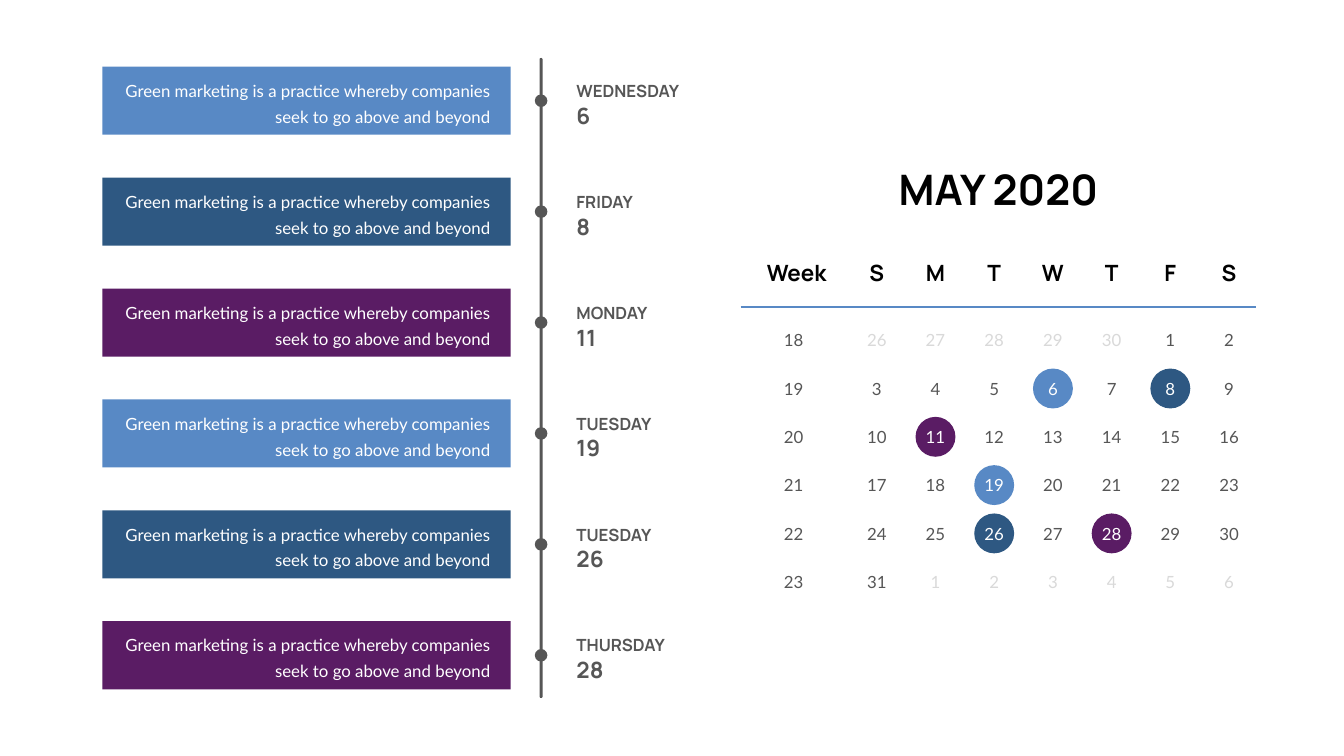
"""Build a May 2020 calendar slide with a timeline of six marked days."""
from pptx import Presentation
from pptx.dml.color import RGBColor
from pptx.enum.shapes import MSO_CONNECTOR, MSO_SHAPE
from pptx.enum.text import MSO_ANCHOR, MSO_AUTO_SIZE, PP_ALIGN
from pptx.oxml.ns import qn
from pptx.util import Pt
from lxml import etree

LEFT, CENTER, RIGHT = PP_ALIGN.LEFT, PP_ALIGN.CENTER, PP_ALIGN.RIGHT
TOP, MIDDLE = MSO_ANCHOR.TOP, MSO_ANCHOR.MIDDLE
RECTANGLE, ROUNDED, OVAL = MSO_SHAPE.RECTANGLE, MSO_SHAPE.ROUNDED_RECTANGLE, MSO_SHAPE.OVAL

BLUE = RGBColor(0x58, 0x89, 0xC5)
NAVY = RGBColor(0x2E, 0x58, 0x82)
PURPLE = RGBColor(0x5A, 0x1C, 0x64)
GRAY = RGBColor(0x56, 0x56, 0x56)
PALE = RGBColor(0xD9, 0xD9, 0xD9)
BLACK = RGBColor(0, 0, 0)
WHITE = RGBColor(0xFF, 0xFF, 0xFF)
HEADING, BODY = "Manrope", "Lato"

TITLE = "MAY 2020"
MESSAGE = "Green marketing is a practice whereby companies seek to go above and beyond"
EVENTS = [
    ("WEDNESDAY", 6, BLUE),
    ("FRIDAY", 8, NAVY),
    ("MONDAY", 11, PURPLE),
    ("TUESDAY", 19, BLUE),
    ("TUESDAY", 26, NAVY),
    ("THURSDAY", 28, PURPLE),
]
WEEKDAYS = ["S", "M", "T", "W", "T", "F", "S"]
FIRST_WEEK, WEEK_COUNT = 18, 6
APRIL_DAYS, FIRST_SUNDAY, MAY_DAYS = 30, 26, 31

EVENT_Y, EVENT_STEP = 143.9, 158.44
AXIS_X, AXIS_TOP, AXIS_WIDTH, AXIS_HEIGHT = 772.8, 82.8, 4.4, 914.4
DAY_X, DAY_STEP = 1252.2, 83.86
WEEK_X, WEEK_Y, WEEK_STEP = 1133.6, 486, 69
HEADER_Y, RULE_Y = 389.5, 438.5
CIRCLE, DOT = 57, 18


def add_shape(slide, kind, x, y, width, height, color):
    """Add a plain filled shape centred on x, y."""
    shape = slide.shapes.add_shape(
        kind, Pt(x - width / 2), Pt(y - height / 2), Pt(width), Pt(height))
    shape.shadow.inherit = False
    shape.fill.solid()
    shape.fill.fore_color.rgb = color
    shape.line.fill.background()
    return shape


def write(frame, lines, font, color, align, anchor, bold=False, wrap=False, spacing=None):
    """Fill a text frame with (text, size) lines in one style."""
    frame.word_wrap = wrap
    frame.auto_size = MSO_AUTO_SIZE.NONE
    frame.vertical_anchor = anchor
    for index, (text, size) in enumerate(lines):
        para = frame.add_paragraph() if index else frame.paragraphs[0]
        para.text = text
        para.alignment = align
        para.line_spacing = spacing
        para.font.name = font
        para.font.size = Pt(size)
        para.font.bold = bold
        para.font.color.rgb = color


def add_text(slide, x, y, width, height, *content, **style):
    """Add a text box centred on x, y."""
    box = slide.shapes.add_textbox(
        Pt(x - width / 2), Pt(y - height / 2), Pt(width), Pt(height))
    write(box.text_frame, *content, **style)


def add_title(slide):
    """Place and format the title placeholder."""
    title = slide.shapes.title
    title.left, title.top, title.width, title.height = Pt(1267.4), Pt(230.4), Pt(316.8), Pt(80)
    write(title.text_frame, [(TITLE, 60)], HEADING, BLACK, CENTER, TOP, bold=True, spacing=1.0)


def add_calendar(slide):
    """Add the weekday header, rule, week numbers and days."""
    add_text(slide, WEEK_X, HEADER_Y, 108, 46, [("Week", 32)],
             HEADING, BLACK, RIGHT, TOP, bold=True)
    for column, name in enumerate(WEEKDAYS):
        add_text(slide, DAY_X + column * DAY_STEP, HEADER_Y, 44, 46, [(name, 32)],
                 HEADING, BLACK, CENTER, TOP, bold=True)

    rule = slide.shapes.add_connector(
        MSO_CONNECTOR.STRAIGHT, Pt(1057.7), Pt(RULE_Y), Pt(1793.5), Pt(RULE_Y))
    rule.line.color.rgb = BLUE
    rule.line.width = Pt(3)
    etree.SubElement(rule._element.spPr, qn("a:effectLst"))

    marked = {day: color for _, day, color in EVENTS}
    for row in range(WEEK_COUNT):
        y = WEEK_Y + row * WEEK_STEP
        add_text(slide, WEEK_X, y, 42, 36, [(str(FIRST_WEEK + row), 24)],
                 BODY, GRAY, CENTER, MIDDLE)
        for column in range(len(WEEKDAYS)):
            x = DAY_X + column * DAY_STEP
            offset = FIRST_SUNDAY + row * len(WEEKDAYS) + column - APRIL_DAYS
            in_may = 1 <= offset <= MAY_DAYS
            day = offset + APRIL_DAYS if offset < 1 else (offset - 1) % MAY_DAYS + 1
            color = GRAY if in_may else PALE
            if in_may and day in marked:
                add_shape(slide, OVAL, x, y, CIRCLE, CIRCLE, marked[day])
                color = WHITE
            add_text(slide, x, y, 42, 36, [(str(day), 24)], BODY, color, CENTER, MIDDLE)


def add_timeline(slide):
    """Add the vertical axis with a message bar, dot and date per event."""
    axis = add_shape(slide, ROUNDED, AXIS_X, AXIS_TOP + AXIS_HEIGHT / 2,
                     AXIS_WIDTH, AXIS_HEIGHT, GRAY)
    axis.adjustments[0] = 0.5
    for index, (weekday, day, color) in enumerate(EVENTS):
        y = EVENT_Y + index * EVENT_STEP
        add_shape(slide, OVAL, AXIS_X, y, DOT, DOT, GRAY)
        add_shape(slide, RECTANGLE, 437.8, y, 583.2, 97.2, color)
        add_text(slide, 437.8, y, 538.6, 77.8, [(MESSAGE, 24)],
                 BODY, WHITE, RIGHT, MIDDLE, wrap=True, spacing=Pt(37))
        add_text(slide, 901.2, y, 170, 87.8, [(weekday, 24), (str(day), 32)],
                 HEADING, GRAY, LEFT, MIDDLE, bold=True, wrap=True, spacing=Pt(40))


def main():
    """Build and save the deck."""
    deck = Presentation()
    deck.slide_width, deck.slide_height = Pt(1919.5), Pt(1080)
    slide = deck.slides.add_slide(deck.slide_layouts[5])
    add_title(slide)
    add_calendar(slide)
    add_timeline(slide)
    deck.save("out.pptx")


if __name__ == "__main__":
    main()
